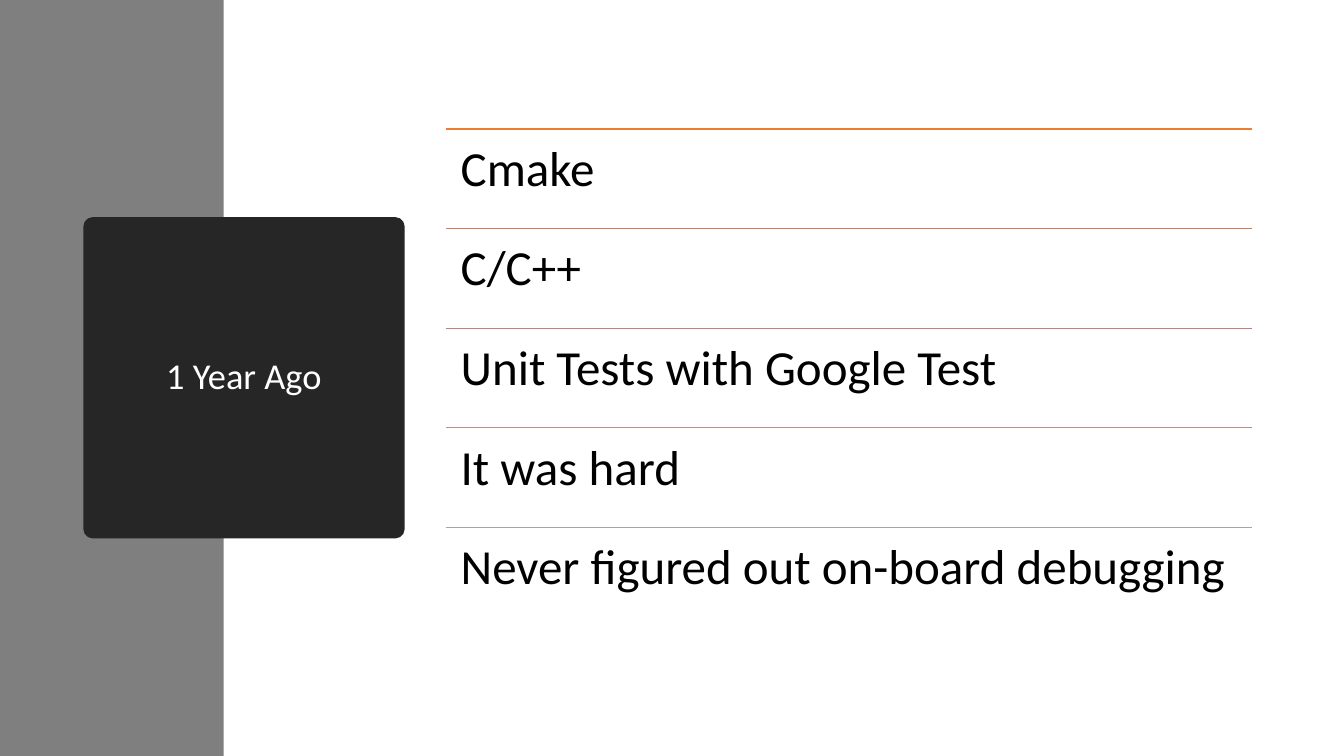
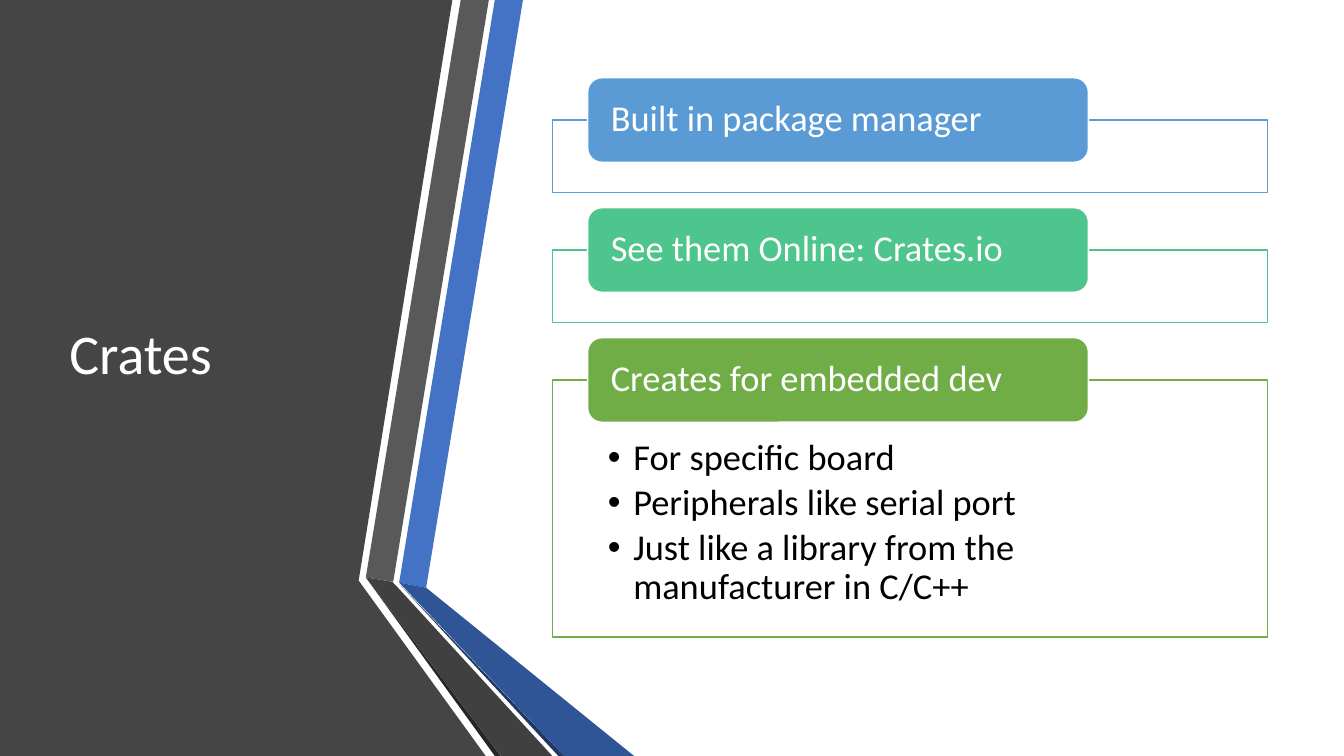
from lxml import etree
from pptx import Presentation
from pptx import util as u
from pptx.dml.color import RGBColor
from pptx.enum import shapes, text
from pptx.oxml.ns import qn

WIDE, HIGH = 33.87, 19.05
FONT = "Calibri"
WHITE, BLACK, DARK = "FFFFFF", "000000", "262626"
RECT = shapes.MSO_SHAPE.RECTANGLE
ROUND = shapes.MSO_SHAPE.ROUNDED_RECTANGLE
LEFT, MID = text.PP_ALIGN.LEFT, text.PP_ALIGN.CENTER


def shade(code):
    return RGBColor.from_string(code)


def write(shape, *lines, size, color=BLACK, align=LEFT, middle=False,
          pads=(0.25, 0.13, 0.25, 0.13), after=0, bullet=False):
    """Fill a shape with one paragraph per line."""
    frame = shape.text_frame
    frame.word_wrap = True
    frame.vertical_anchor = (text.MSO_ANCHOR.MIDDLE if middle
                             else text.MSO_ANCHOR.TOP)
    (frame.margin_left, frame.margin_top,
     frame.margin_right, frame.margin_bottom) = map(u.Cm, pads)
    for i, line in enumerate(lines):
        para = frame.add_paragraph() if i else frame.paragraphs[0]
        para.alignment, para.line_spacing = align, 0.9
        para.space_after = u.Pt(after)
        run = para.add_run()
        run.text = line
        run.font.name, run.font.size = FONT, u.Pt(size)
        run.font.color.rgb = shade(color)
        if bullet:
            props = para._p.get_or_add_pPr()
            hang = u.Cm(0.64)
            props.set("marL", str(hang))
            props.set("indent", str(-hang))
            etree.SubElement(props, qn("a:buFont")).set("typeface", "Arial")
            etree.SubElement(props, qn("a:buChar")).set("char", "•")


class Deck:
    def __init__(self):
        self.prs = Presentation()
        self.prs.slide_width, self.prs.slide_height = u.Cm(WIDE), u.Cm(HIGH)

    def page(self):
        blank = self.prs.slide_layouts[6]
        self.slide = self.prs.slides.add_slide(blank)

    def paint(self, shape, fill, line=None):
        shape.shadow.inherit = False
        shape.fill.solid()
        shape.fill.fore_color.rgb = shade(fill)
        if line:
            shape.line.color.rgb = shade(line)
            shape.line.width = u.Pt(1)
        else:
            shape.line.fill.background()
        return shape

    def box(self, x, y, w, h, fill, line=None, kind=RECT, bend=None):
        shape = self.slide.shapes.add_shape(kind, *map(u.Cm, (x, y, w, h)))
        if bend is not None:
            shape.adjustments[0] = bend
        return self.paint(shape, fill, line)

    def facet(self, fill, *points):
        first, *rest = [(u.Cm(x), u.Cm(y)) for x, y in points]
        build = self.slide.shapes.build_freeform(*first)
        build.add_line_segments(rest, close=True)
        return self.paint(build.convert_to_shape(), fill)

    def rule(self, x, y, w, color):
        line = self.slide.shapes.add_connector(
            shapes.MSO_CONNECTOR.STRAIGHT, *map(u.Cm, (x, y, x + w, y)))
        line.line.color.rgb = shade(color)
        line.line.width = u.Pt(1)
        etree.SubElement(line._element.spPr, qn("a:effectLst"))

    def label(self, x, y, w, h, *lines, **style):
        write(self.slide.shapes.add_textbox(*map(u.Cm, (x, y, w, h))),
              *lines, **style)


def past(deck):
    deck.page()
    # Side band and title tile
    deck.box(0, 0, 5.64, HIGH, "7F7F7F")
    tile = deck.box(2.1, 5.47, 8.1, 8.1, DARK, kind=ROUND, bend=0.03)
    write(tile, "1 Year Ago", size=26, color=WHITE, align=MID, middle=True)

    # Ruled list
    left, top, wide, step = 11.23, 3.25, 20.32, 2.51
    rows = [("Cmake", "ED7D31"),
            ("C/C++", "D87A51"),
            ("Unit Tests with Google Test", "C48170"),
            ("It was hard", "B4908B"),
            ("Never figured out on-board debugging", "A5A5A5")]
    for i, (words, color) in enumerate(rows):
        y = top + i * step
        deck.rule(left, y, wide, color)
        deck.label(left, y, wide, step, words, size=35, pads=(0.38,) * 4)


def crates(deck):
    deck.page()
    # Dark panel and folded ribbons
    deck.facet("454545", (0, 0), (11.4, 0), (9.04, 14.63),
               (12.24, HIGH), (0, HIGH))
    deck.facet("4472C4", (10.06, 14.68), (10.74, 14.81),
               (13.18, 0), (12.47, 0))
    deck.facet("595959", (12.32, 0), (11.61, 0),
               (9.22, 14.55), (9.91, 14.66))
    deck.facet(DARK, (9.22, 14.55), (12.47, HIGH), (12.62, HIGH))
    deck.facet("203864", (10.06, 14.71), (14.07, HIGH), (14.22, HIGH))
    deck.facet("2F5597", (10.06, 14.68), (14.22, HIGH),
               (15.98, HIGH), (10.74, 14.81))
    deck.facet("404040", (13.92, HIGH), (10.03, 14.81), (9.88, 14.66),
               (9.22, 14.55), (12.62, HIGH))
    deck.label(1.5, 1.9, 7.72, 14.17, "Crates",
               size=40, color=WHITE, middle=True)

    # Cards: a frame with a tab across its top edge
    tab, gap, top = 2.13, 0.38, 1.96
    cards = [("Built in package manager", "5B9BD5", 1.83, ()),
             ("See them Online: Crates.io", "4DC58D", 1.83, ()),
             ("Creates for embedded dev", "70AD47", 6.48,
              ("For specific board", "Peripherals like serial port",
               "Just like a library from the manufacturer in C/C++"))]
    for head, color, high, notes in cards:
        edge = top + tab / 2
        frame = deck.box(13.92, edge, 18.03, high, WHITE, color)
        if notes:
            write(frame, *notes, size=26, pads=(1.4, 1.5, 1.4, 0.5),
                  after=4, bullet=True)
        plate = deck.box(14.81, top, 12.62, tab, color, WHITE, ROUND)
        write(plate, head, size=26, color=WHITE, middle=True,
              pads=(0.48, 0, 0.48, 0))
        top = edge + high + gap


def main():
    deck = Deck()
    past(deck)
    crates(deck)
    deck.prs.save("out.pptx")


if __name__ == "__main__":
    main()
